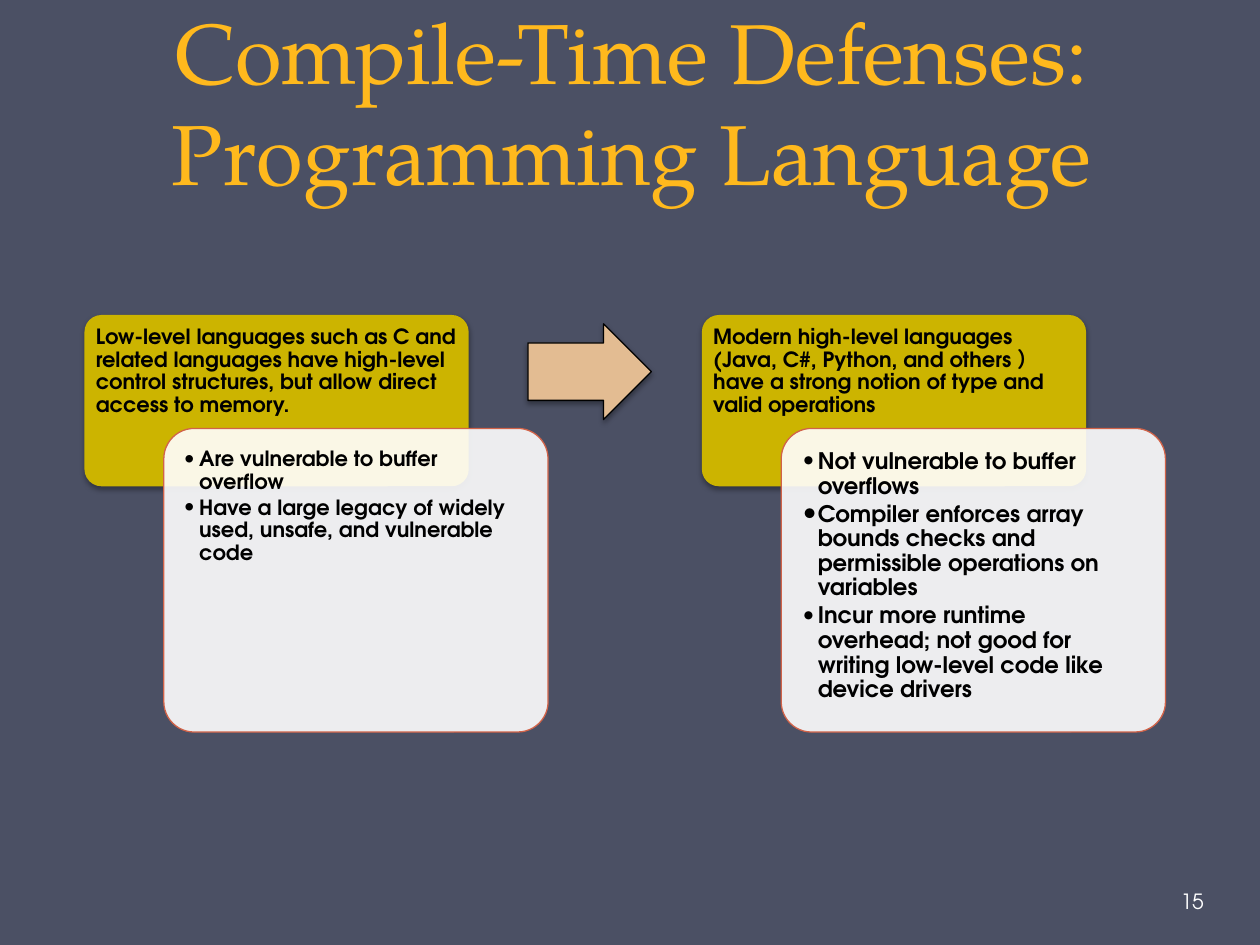
from lxml import etree
from pptx import Presentation
from pptx import util as u
from pptx.dml.color import RGBColor
from pptx.enum import shapes, text
from pptx.oxml.ns import qn

SANS, SERIF = "TeX Gyre Adventor", "TeX Gyre Pagella"
KIND = shapes.MSO_SHAPE
ALIGN, ANCHOR = text.PP_ALIGN, text.MSO_ANCHOR


def rgb(code):
    return RGBColor.from_string(code)


def place(item, box):
    item.left, item.top, item.width, item.height = map(u.Inches, box)


def bullet(para, scale):
    props = para._p.get_or_add_pPr()
    props.set("marL", str(u.Inches(0.12)))
    props.set("indent", str(-u.Inches(0.12)))
    if scale:
        etree.SubElement(props, qn("a:buSzPct"), val=str(scale * 1000))
    etree.SubElement(props, qn("a:buFont"), typeface=SANS)
    etree.SubElement(props, qn("a:buChar"), char="•")


def write(item, lines, size=12, face=SANS, color="000000", bold=False,
          align=ALIGN.LEFT, anchor=ANCHOR.TOP, inset=(0.1, 0.05, 0.1, 0.05),
          lead=None, after=0, marks=False, scales=None):
    """Fill a text shape; scales maps a line's index to its bullet size in %."""
    frame = item.text_frame
    frame.word_wrap = True
    frame.auto_size = text.MSO_AUTO_SIZE.NONE
    frame.vertical_anchor = anchor
    (frame.margin_left, frame.margin_top,
     frame.margin_right, frame.margin_bottom) = map(u.Inches, inset)
    for i, line in enumerate(lines):
        para = frame.add_paragraph() if i else frame.paragraphs[0]
        para.text = line
        para.alignment = align
        para.line_spacing = lead
        para.space_before, para.space_after = u.Pt(0), u.Pt(after)
        if marks:
            bullet(para, (scales or {}).get(i))
        for run in para.runs:
            font = run.font
            font.name, font.size, font.bold = face, u.Pt(size), bold
            font.color.rgb = rgb(color)


def fade(shape, alpha):
    color = shape._element.spPr.find(qn("a:solidFill"))[0]
    etree.SubElement(color, qn("a:alpha"), val=str(alpha * 1000))


def shade(shape):
    """Drop a soft shadow straight down."""
    effects = shape._element.spPr.find(qn("a:effectLst"))
    drop = etree.SubElement(
        effects, qn("a:outerShdw"), blurRad=str(u.Pt(3.1)),
        dist=str(u.Pt(1.8)), dir="5400000", algn="ctr", rotWithShape="0")
    color = etree.SubElement(drop, qn("a:srgbClr"), val="000000")
    etree.SubElement(color, qn("a:alpha"), val="35000")


def draw(slide, kind, box, fill, adjust, line=None):
    shape = slide.shapes.add_shape(kind, *map(u.Inches, box))
    shape.shadow.inherit = False
    shape.fill.solid()
    shape.fill.fore_color.rgb = rgb(fill)
    for i, value in enumerate(adjust):
        shape.adjustments[i] = value
    if line:
        shape.line.color.rgb = rgb(line)
        shape.line.width = u.Pt(0.75)
    else:
        shape.line.fill.background()
    return shape


def label(slide, box, line, **style):
    item = slide.shapes.add_textbox(*map(u.Inches, box))
    write(item, [line], **style)


def panel(slide, box, head, body, points, size, pad, scales=None):
    """A gold heading with a translucent list card overlapping its corner."""
    left, top, width, height = box
    wide, drop, shift, gap = 3.05, 0.9, 0.63, 0.07
    shade(draw(slide, KIND.ROUNDED_RECTANGLE, (left, top, wide, 1.36),
               "CCB400", [0.1]))
    label(slide, (left, top, wide, drop), head, bold=True, lead=0.9,
          after=4.2, inset=(0.09, 0.09, 0.09, 0.05))
    x, y, w, h = left + shift, top + drop, width - shift, height - drop
    card = draw(slide, KIND.ROUNDED_RECTANGLE, (x, y, w, h),
                "FFFFFF", [0.1], line="D16349")
    fade(card, 90)
    place(body, (x + gap, y + gap, w - 2 * gap, h - 2 * gap))
    write(body, points, size=size, bold=True, lead=0.9, after=size * 0.15,
          inset=[pad] * 4, marks=True, scales=scales)
    card._element.addnext(body._element)  # list sits above its card


def main():
    deck = Presentation()
    deck.slide_width, deck.slide_height = u.Inches(10), u.Inches(7.5)
    slide = deck.slides.add_slide(deck.slide_layouts[3])
    slide.background.fill.solid()
    slide.background.fill.fore_color.rgb = rgb("4B5064")

    title, low, high = slide.placeholders
    place(title, (0.51, 0.13, 9, 1.53))
    write(title, ["Compile-Time Defenses:\vProgramming Language"], size=48.6,
          face=SERIF, color="FFB91D", align=ALIGN.CENTER,
          anchor=ANCHOR.BOTTOM, lead=u.Pt(58))

    panel(slide, (0.67, 2.5, 3.68, 3.31),
          "Low-level languages such as C and related languages have "
          "high-level control structures, but allow direct access to memory.",
          low,
          ["Are vulnerable to buffer overflow",
           "Have a large legacy of widely used, unsafe, and vulnerable code"],
          size=12, pad=0.09)
    shade(draw(slide, KIND.RIGHT_ARROW, (4.19, 2.57, 0.98, 0.76),
               "E3BC92", [0.6, 0.5], line="000000"))
    panel(slide, (5.57, 2.5, 3.68, 3.31),
          "Modern high-level languages (Java, C#, Python, and others ） "
          "have a strong notion of type and valid operations",
          high,
          ["Not vulnerable to buffer overflows",
           "Compiler enforces array bounds checks and permissible "
           "operations on variables",
           "Incur more runtime overhead; not good for writing low-level "
           "code like device drivers"],
          size=13, pad=0.1, scales={1: 120})

    label(slide, (9.34, 6.95, 0.61, 0.4), "15", color="FFFFFF",
          anchor=ANCHOR.MIDDLE, inset=(0.03, 0.05, 0.05, 0.05))
    deck.save("out.pptx")


if __name__ == "__main__":
    main()
